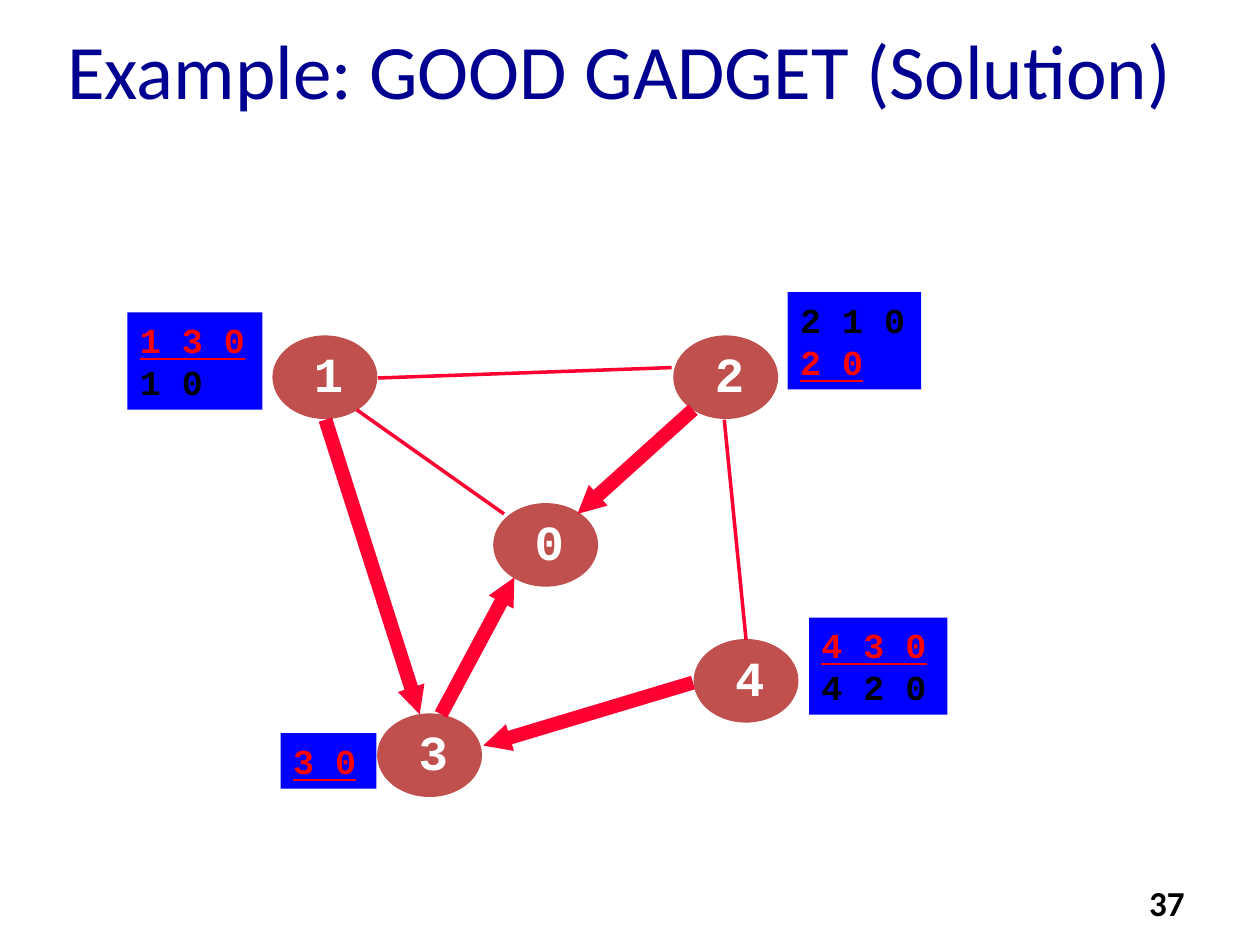
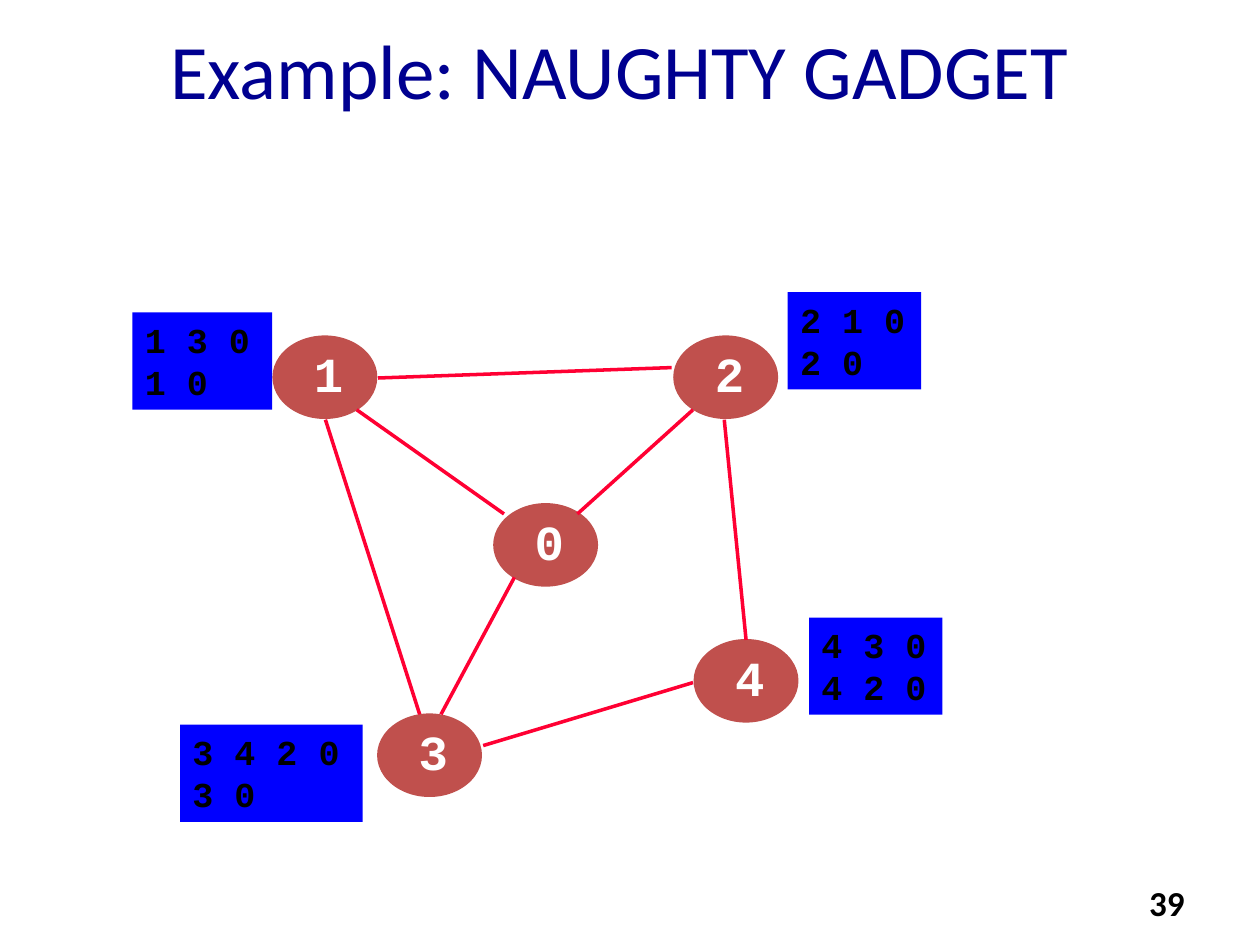
"""Build two slides that show routing gadgets as graphs with ranked routes."""
from dataclasses import dataclass
from typing import Any, NamedTuple

from lxml.etree import SubElement
from pptx import Presentation
from pptx.dml.color import RGBColor
from pptx.enum.shapes import MSO_CONNECTOR as Connector, MSO_SHAPE as Shape
from pptx.enum.text import MSO_ANCHOR as Anchor, MSO_AUTO_SIZE as AutoSize, PP_ALIGN as Align
from pptx.oxml.ns import qn
from pptx.util import Cm, Pt


@dataclass(frozen=True)
class Theme:
    """Colours, fonts and sizes shared by the slides."""
    title_color: RGBColor = RGBColor(0x00, 0x00, 0x90)
    node_color: RGBColor = RGBColor(0xC0, 0x50, 0x4D)
    edge_color: RGBColor = RGBColor(0xFF, 0x00, 0x33)
    route_fill: RGBColor = RGBColor(0x00, 0x00, 0xFF)
    chosen_color: RGBColor = RGBColor(0xFF, 0x00, 0x00)
    black: RGBColor = RGBColor(0x00, 0x00, 0x00)
    white: RGBColor = RGBColor(0xFF, 0xFF, 0xFF)
    body_font: str = "Calibri"
    code_font: str = "Courier New"
    title_size: int = 44
    node_size: int = 28
    text_size: int = 20
    edge_width: int = 2
    arrow_width: int = 8


class Box(NamedTuple):
    """A rectangle in centimetres."""
    left: float
    top: float
    width: float
    height: float

    def lengths(self) -> list[Cm]:
        """Give the four values as slide lengths."""
        return [Cm(value) for value in self]


class Node(NamedTuple):
    """A numbered node with its top left corner."""
    label: str
    left: float
    top: float


class Edge(NamedTuple):
    """A link between two nodes with its end points."""
    name: str
    start: tuple[float, float]
    end: tuple[float, float]


@dataclass(frozen=True)
class RouteList:
    """The ranked routes of one node and the chosen one, if any."""
    left: float
    top: float
    width: float
    routes: tuple[str, ...]
    chosen: str = ""


@dataclass(frozen=True)
class Gadget:
    """The content of one slide."""
    title: str
    number: str
    route_lists: tuple[RouteList, ...]
    arrows: tuple[str, ...] = ()


THEME = Theme()
TITLE_BOX = Box(0.43, 0.84, 24.13, 1.07)
NUMBER_BOX = Box(18.21, 17.65, 5.92, 1.02)
NODE_WIDTH, NODE_HEIGHT = 2.08, 1.65
ROUTE_LINE, ROUTE_MARGIN = 0.84, 0.28
NODES = (
    Node("1", 5.51, 6.78),
    Node("2", 13.59, 6.78),
    Node("4", 14, 12.9),
    Node("3", 7.62, 14.4),
    Node("0", 9.96, 10.16),
)
EDGES = (
    Edge("1-0", (7.19, 8.26), (10.16, 10.36)),
    Edge("1-2", (7.62, 7.62), (13.54, 7.41)),
    Edge("2-0", (13.97, 8.26), (11.64, 10.36)),
    Edge("2-4", (14.6, 8.46), (15.04, 12.9)),
    Edge("1-3", (6.56, 8.46), (8.46, 14.4)),
    Edge("4-3", (13.97, 13.76), (9.74, 15.03)),
    Edge("3-0", (8.89, 14.4), (10.37, 11.64)),
)
GADGETS = (
    Gadget("Example: GOOD GADGET (Solution)", "37", (
        RouteList(15.88, 5.89, 2.69, ("2 1 0", "2 0"), "2 0"),
        RouteList(2.57, 6.3, 2.72, ("1 3 0", "1 0"), "1 3 0"),
        RouteList(16.31, 12.45, 2.79, ("4 3 0", "4 2 0"), "4 3 0"),
        RouteList(5.66, 14.78, 1.93, ("3 0",), "3 0"),
    ), ("2-0", "1-3", "4-3", "3-0")),
    Gadget("Example: NAUGHTY GADGET", "39", (
        RouteList(15.88, 5.89, 2.69, ("2 1 0", "2 0")),
        RouteList(2.67, 6.3, 2.82, ("1 3 0", "1 0")),
        RouteList(16.31, 12.45, 2.69, ("4 3 0", "4 2 0")),
        RouteList(3.63, 14.61, 3.68, ("3 4 2 0", "3 0")),
    )),
)


def apply_format(target: Any, values: dict[str, Any]) -> None:
    """Set each named attribute of the target."""
    for name, value in values.items():
        setattr(target, name, value)


def write(paragraph: Any, text: str, align: Align, color: RGBColor, **font: Any) -> None:
    """Write one formatted run in a paragraph."""
    paragraph.alignment = align
    run = paragraph.add_run()
    run.text = text
    apply_format(run.font, font)
    run.font.color.rgb = color


def add_title(slide: Any, text: str) -> None:
    """Place and format the title placeholder."""
    title = slide.shapes.title
    apply_format(title, dict(zip(Box._fields, TITLE_BOX.lengths())))
    frame = title.text_frame
    apply_format(frame, {"vertical_anchor": Anchor.MIDDLE, "auto_size": AutoSize.NONE, "word_wrap": True})
    write(frame.paragraphs[0], text, Align.CENTER, THEME.title_color,
          name=THEME.body_font, size=Pt(THEME.title_size))


def add_number(slide: Any, number: str) -> None:
    """Add the slide number at the lower right."""
    frame = slide.shapes.add_textbox(*NUMBER_BOX.lengths()).text_frame
    frame.word_wrap = True
    write(frame.paragraphs[0], number, Align.RIGHT, THEME.black,
          name=THEME.body_font, size=Pt(THEME.text_size), bold=True)


def add_node(slide: Any, node: Node) -> None:
    """Add an ellipse grouped with its label."""
    group = slide.shapes.add_group_shape()
    box = Box(node.left, node.top, NODE_WIDTH, NODE_HEIGHT)
    ellipse = group.shapes.add_shape(Shape.OVAL, *box.lengths())
    ellipse.shadow.inherit = False
    ellipse.fill.solid()
    ellipse.fill.fore_color.rgb = THEME.node_color
    ellipse.line.color.rgb = THEME.node_color
    ellipse.line.width = Pt(1)
    label_box = Box(node.left + 0.57, node.top + 0.03, 1.07, 1.45)
    frame = group.shapes.add_textbox(*label_box.lengths()).text_frame
    apply_format(frame, {"word_wrap": False, "auto_size": AutoSize.SHAPE_TO_FIT_TEXT})
    write(frame.paragraphs[0], node.label, Align.LEFT, THEME.white,
          name=THEME.code_font, size=Pt(THEME.node_size), bold=True)


def add_edge(slide: Any, edge: Edge, is_arrow: bool) -> None:
    """Add a thin link, or a thick arrow for a chosen one."""
    points = [Cm(value) for value in (*edge.start, *edge.end)]
    connector = slide.shapes.add_connector(Connector.STRAIGHT, *points)
    connector.line.color.rgb = THEME.edge_color
    connector.line.width = Pt(THEME.arrow_width if is_arrow else THEME.edge_width)
    if is_arrow:
        SubElement(connector.line._get_or_add_ln(), qn("a:tailEnd"), type="triangle", w="sm", len="sm")
    SubElement(connector._element.spPr, qn("a:effectLst"))


def add_route_list(slide: Any, route_list: RouteList) -> None:
    """Add the filled box with the ranked routes of a node."""
    height = ROUTE_MARGIN + ROUTE_LINE * len(route_list.routes)
    box = Box(route_list.left, route_list.top, route_list.width, height)
    rectangle = slide.shapes.add_shape(Shape.RECTANGLE, *box.lengths())
    rectangle.shadow.inherit = False
    rectangle.fill.solid()
    rectangle.fill.fore_color.rgb = THEME.route_fill
    rectangle.line.fill.background()
    frame = rectangle.text_frame
    apply_format(frame, {"word_wrap": True, "vertical_anchor": Anchor.TOP,
                         "auto_size": AutoSize.SHAPE_TO_FIT_TEXT})
    for index, route in enumerate(route_list.routes):
        paragraph = frame.add_paragraph() if index else frame.paragraphs[0]
        chosen = route == route_list.chosen
        write(paragraph, route, Align.LEFT, THEME.chosen_color if chosen else THEME.black,
              name=THEME.code_font, size=Pt(THEME.text_size), bold=True, underline=chosen)


def add_gadget(presentation: Any, gadget: Gadget) -> None:
    """Add one slide with its graph and route lists."""
    slide = presentation.slides.add_slide(presentation.slide_layouts.get_by_name("Title Only"))
    add_number(slide, gadget.number)
    add_title(slide, gadget.title)
    for node in NODES:
        add_node(slide, node)
    for edge in EDGES:
        add_edge(slide, edge, edge.name in gadget.arrows)
    for route_list in gadget.route_lists:
        add_route_list(slide, route_list)


def main() -> None:
    """Build and save the presentation."""
    presentation = Presentation()
    apply_format(presentation, {"slide_width": Cm(25.4), "slide_height": Cm(19.05)})
    for gadget in GADGETS:
        add_gadget(presentation, gadget)
    presentation.save("out.pptx")


if __name__ == "__main__":
    main()
